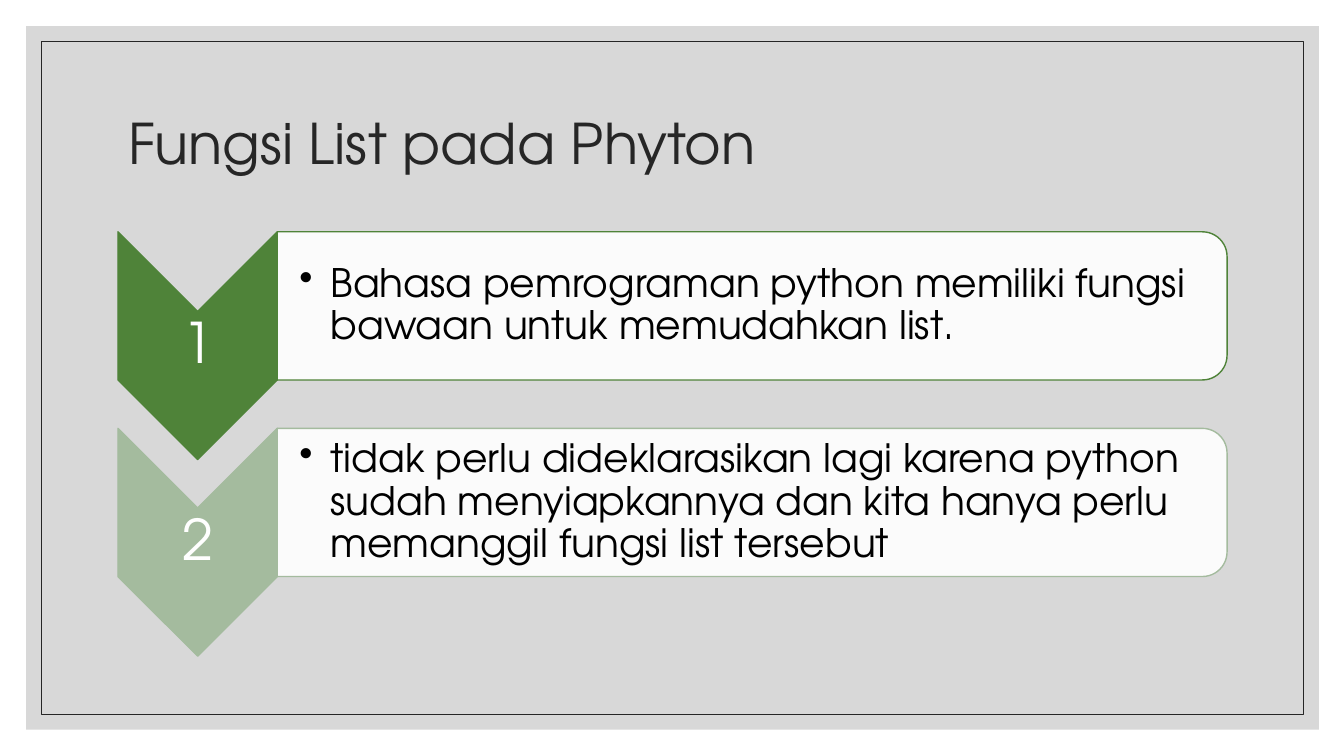
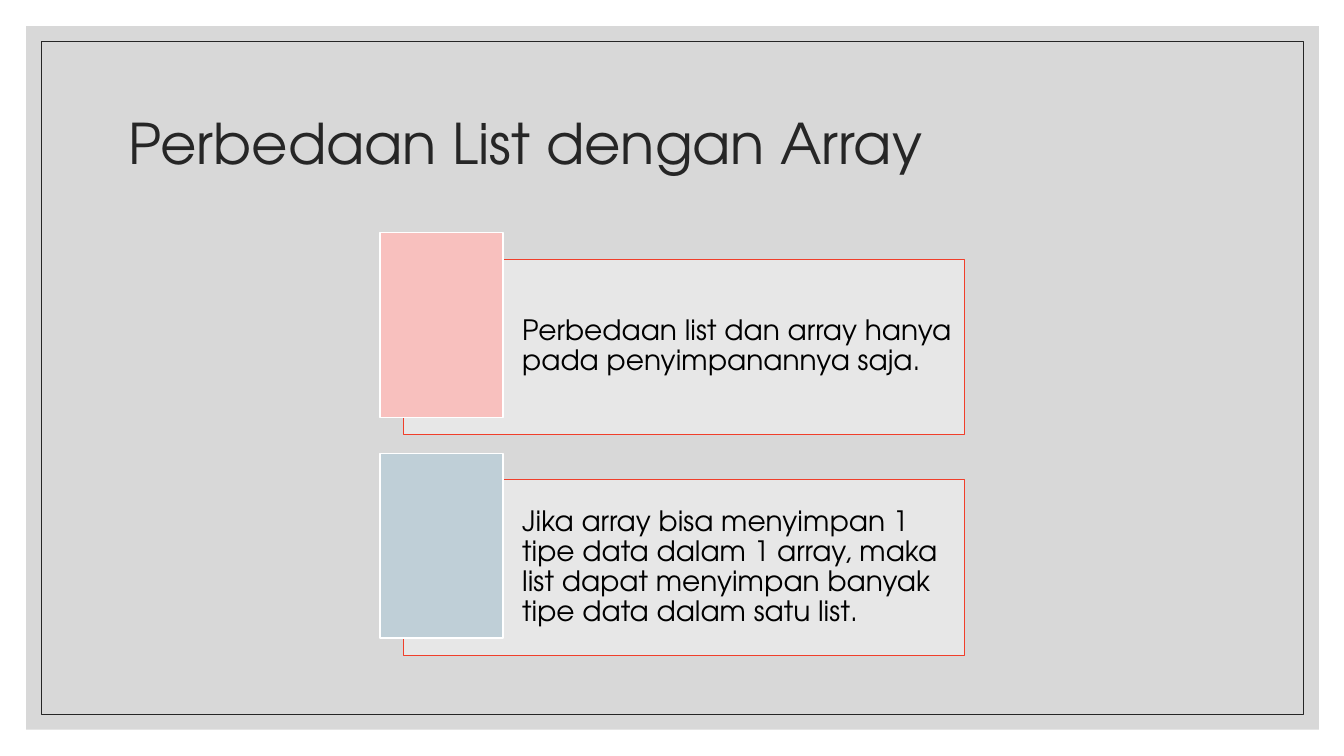
"""Build two slides on Python lists: numbered functions and list versus array."""
from dataclasses import dataclass

from lxml.etree import SubElement
from pptx import Presentation
from pptx.dml.color import RGBColor
from pptx.enum.shapes import MSO_SHAPE as Preset
from pptx.enum.text import MSO_ANCHOR as Anchor, PP_ALIGN as Align
from pptx.oxml.ns import qn
from pptx.shapes.autoshape import Shape
from pptx.slide import Slide, SlideLayout
from pptx.util import Inches, Pt

FONT = "TeX Gyre Adventor"
INK, BLACK, WHITE = "262626", "000000", "FFFFFF"
BACKDROP, PANEL_EDGE = "BFBFBF", "F03F2B"
STEP_TOP, STEP_PITCH = 2.3, 1.95
CARD_TOP, CARD_PITCH = 2.31, 2.19


@dataclass(frozen=True)
class Box:
    left: float
    top: float
    width: float
    height: float

    def turned(self) -> "Box":
        """Return the unrotated box that covers this one after a quarter turn."""
        shift = (self.width - self.height) / 2
        return Box(self.left + shift, self.top - shift, self.height, self.width)

    def lengths(self) -> tuple[int, int, int, int]:
        """Return the four measures as slide lengths."""
        return (Inches(self.left), Inches(self.top),
                Inches(self.width), Inches(self.height))


@dataclass(frozen=True)
class TextStyle:
    size: int
    color: str
    insets: tuple[float, float, float, float] = (0.1, 0.05, 0.1, 0.05)
    align: Align = Align.LEFT
    space_after: float = 0
    hanging: float = 0


@dataclass(frozen=True)
class Step:
    number: str
    detail: str
    color: str


@dataclass(frozen=True)
class Card:
    statement: str
    color: str


TITLE = TextStyle(40, INK)
NUMBER = TextStyle(40, WHITE, (0.03,) * 4, Align.CENTER, 14)
DETAIL = TextStyle(28, BLACK, (0.22, 0.02, 0.02, 0.02), space_after=4.2, hanging=0.31)
STATEMENT = TextStyle(20, BLACK, (1.18, 0.08, 0.08, 0.08), space_after=7)

STEPS = (
    Step("1", "Bahasa pemrograman python memiliki fungsi bawaan untuk memudahkan list.",
         "4F8339"),
    Step("2", "tidak perlu dideklarasikan lagi karena python sudah menyiapkannya "
              "dan kita hanya perlu memanggil fungsi list tersebut", "A4BB9E"),
)
CARDS = (
    Card("Perbedaan list dan array hanya pada penyimpanannya saja.", "F8C0BE"),
    Card("Jika array bisa menyimpan 1 tipe data dalam 1 array, maka list dapat "
         "menyimpan banyak tipe data dalam satu list.", "BFCFD7"),
)


def rgb(color: str) -> RGBColor:
    """Turn a hex string into a colour."""
    return RGBColor.from_string(color)


def draw(slide: Slide, preset: Preset, box: Box, fill: str = "", opacity: int = 100,
         line: str = "", weight: float = 1, quarter_turn: bool = False) -> Shape:
    """Draw a preset shape that covers the box."""
    placed = box.turned() if quarter_turn else box
    shape = slide.shapes.add_shape(preset, *placed.lengths())
    shape.rotation = 90 if quarter_turn else 0
    shape.shadow.inherit = False
    if fill:
        shape.fill.solid()
        shape.fill.fore_color.rgb = rgb(fill)
        if opacity < 100:
            tint = shape.element.spPr.find(qn("a:solidFill"))[0]
            SubElement(tint, qn("a:alpha"), val=str(opacity * 1000))
    else:
        shape.fill.background()
    if line:
        shape.line.color.rgb = rgb(line)
        shape.line.width = Pt(weight)
    else:
        shape.line.fill.background()
    return shape


def write(holder: Shape, text: str, style: TextStyle) -> None:
    """Put one styled paragraph in a shape."""
    frame = holder.text_frame
    frame.word_wrap = True
    frame.vertical_anchor = Anchor.MIDDLE
    (frame.margin_left, frame.margin_top,
     frame.margin_right, frame.margin_bottom) = map(Inches, style.insets)
    frame.text = text
    paragraph = frame.paragraphs[0]
    if style.hanging:
        properties = paragraph._p.get_or_add_pPr()
        properties.set("marL", str(Inches(style.hanging)))
        properties.set("indent", str(-Inches(style.hanging)))
        SubElement(properties, qn("a:buChar"), char="•")
    paragraph.alignment = style.align
    paragraph.line_spacing = 0.9
    paragraph.space_before = Pt(0)
    paragraph.space_after = Pt(style.space_after)
    font = paragraph.font
    font.name, font.size, font.color.rgb = FONT, Pt(style.size), rgb(style.color)


def add_label(slide: Slide, box: Box, text: str, style: TextStyle) -> None:
    """Add a text box."""
    write(slide.shapes.add_textbox(*box.lengths()), text, style)


def add_titled_slide(deck: Presentation, layout: SlideLayout, title: str) -> Slide:
    """Add a slide with its title."""
    slide = deck.slides.add_slide(layout)
    write(slide.shapes.title, title, TITLE)
    return slide


def style_layout(layout: SlideLayout, slide: Slide) -> None:
    """Give the layout its title place, backdrop and thin frame."""
    heading = layout.placeholders[0]
    (heading.left, heading.top,
     heading.width, heading.height) = Box(1.17, 0.7, 11, 1.5).lengths()
    bands = (
        draw(slide, Preset.RECTANGLE, Box(0.26, 0.26, 12.82, 6.98), BACKDROP, 60),
        draw(slide, Preset.RECTANGLE, Box(0.41, 0.41, 12.52, 6.68), line=INK, weight=0.5),
    )
    for index, band in enumerate(bands):
        band.element.nvSpPr.cNvPr.set("id", str(20 + index))
        layout.shapes.element.insert(2 + index, band.element)


def add_step(slide: Slide, step: Step, top: float) -> None:
    """Draw a numbered chevron and its panel."""
    draw(slide, Preset.CHEVRON, Box(1.17, top, 1.58, 2.26), step.color,
         line=step.color, quarter_turn=True)
    add_label(slide, Box(1.17, top + 0.79, 1.58, 0.68), step.number, NUMBER)
    draw(slide, Preset.ROUND_2_SAME_RECTANGLE, Box(2.75, top, 9.42, 1.47), WHITE, 90,
         line=step.color, quarter_turn=True)
    add_label(slide, Box(2.75, top + 0.07, 9.35, 1.33), step.detail, DETAIL)


def add_card(slide: Slide, card: Card, top: float) -> None:
    """Draw a statement panel with its colour tile."""
    panel = draw(slide, Preset.RECTANGLE, Box(4, top + 0.26, 5.57, 1.74), WHITE, 40,
                 line=PANEL_EDGE, weight=0.5)
    write(panel, card.statement, STATEMENT)
    draw(slide, Preset.RECTANGLE, Box(3.77, top, 1.22, 1.83), card.color, line=WHITE)


def main() -> None:
    """Build and save the deck."""
    deck = Presentation()
    deck.slide_width, deck.slide_height = Inches(13.33), Inches(7.5)
    layout = deck.slide_layouts.get_by_name("Title Only")

    functions = add_titled_slide(deck, layout, "Fungsi List pada Phyton")
    style_layout(layout, functions)
    for index, step in enumerate(STEPS):
        add_step(functions, step, STEP_TOP + index * STEP_PITCH)

    differences = add_titled_slide(deck, layout, "Perbedaan List dengan Array")
    for index, card in enumerate(CARDS):
        add_card(differences, card, CARD_TOP + index * CARD_PITCH)

    deck.save("out.pptx")


if __name__ == "__main__":
    main()
